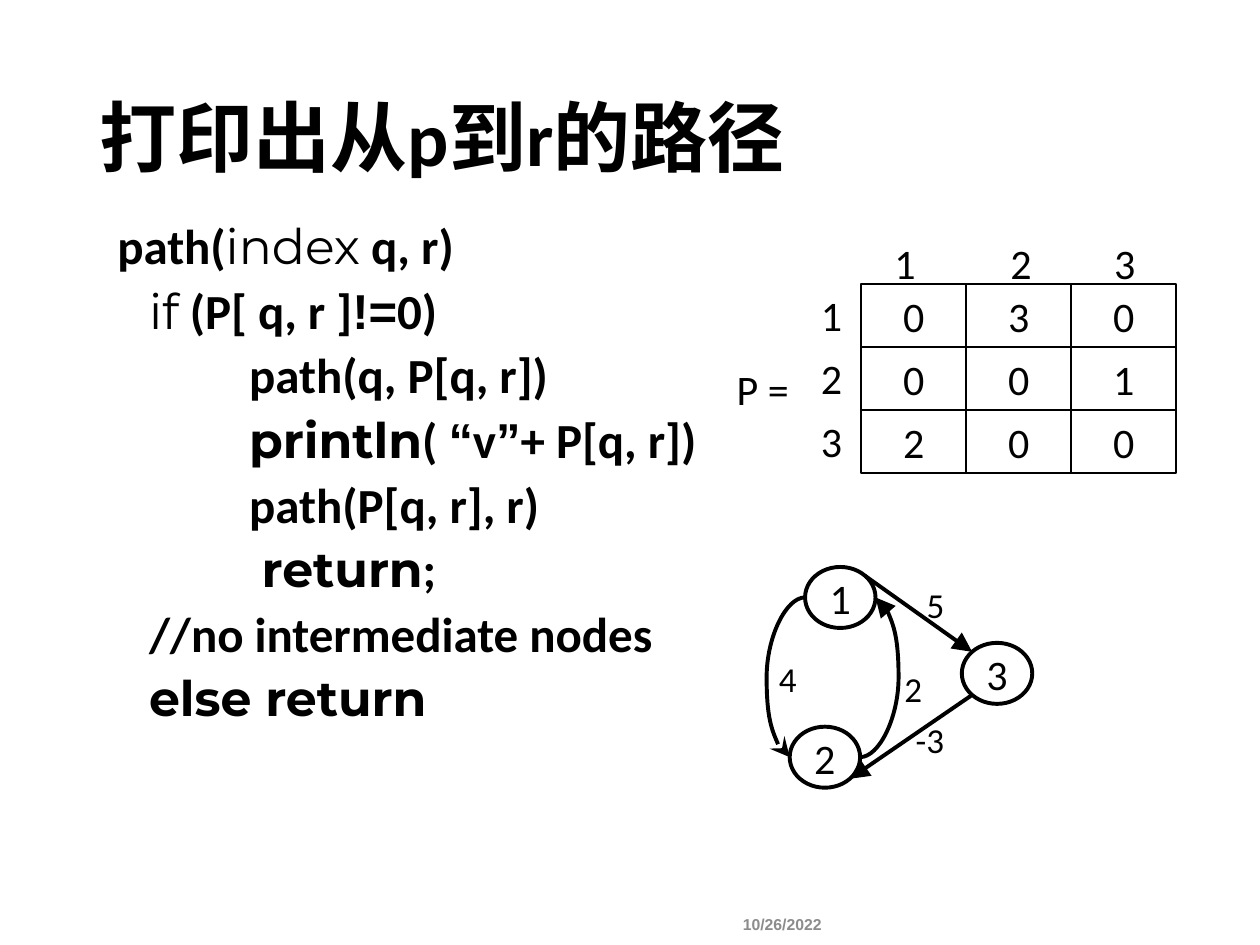
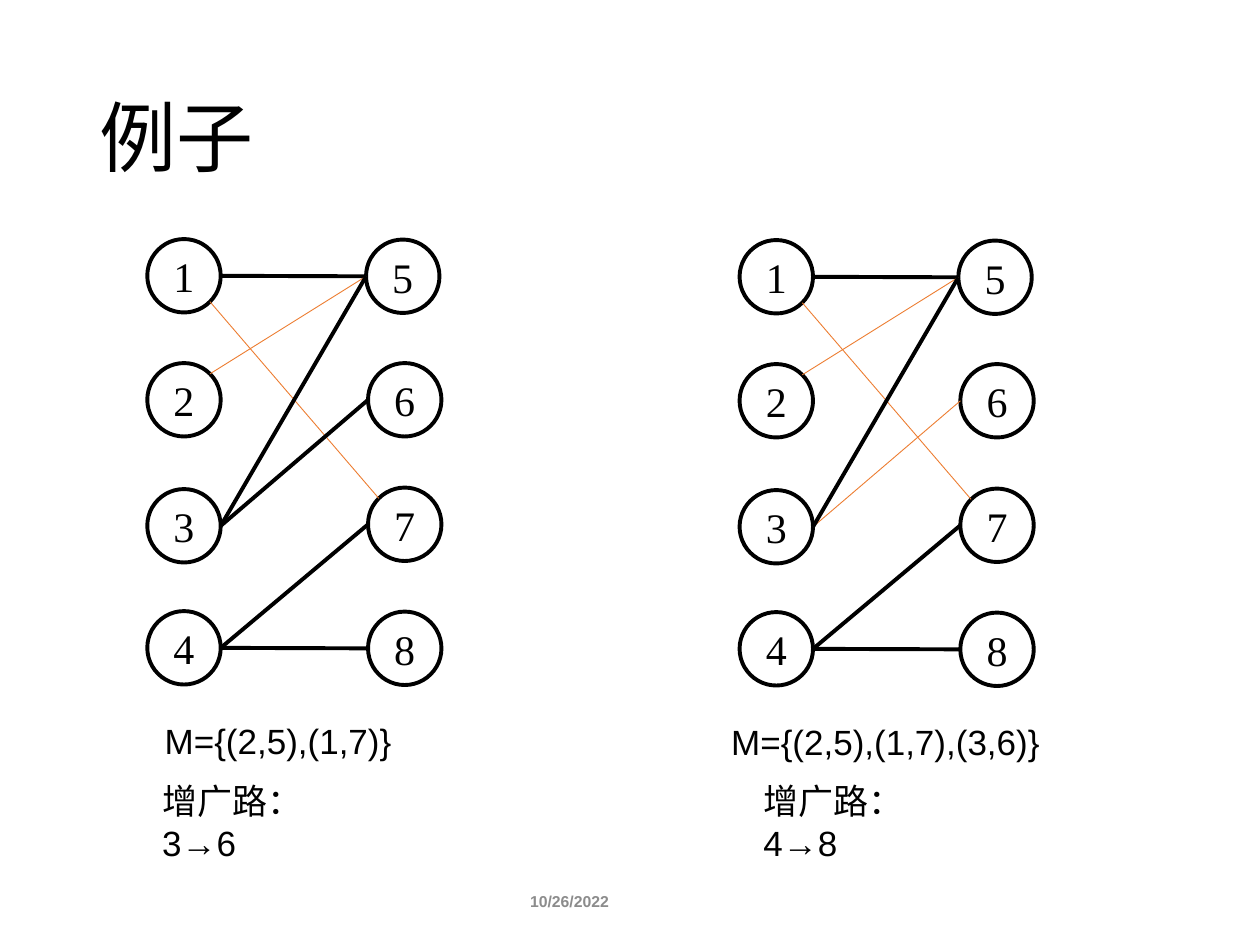
"""Builds two graph algorithm slides: a path printing routine and a bipartite matching example."""
from dataclasses import dataclass
from math import cos, radians, sin

from lxml.etree import SubElement
from pptx import Presentation
from pptx.dml.color import RGBColor
from pptx.enum.shapes import MSO_CONNECTOR, MSO_SHAPE
from pptx.enum.text import MSO_ANCHOR, MSO_AUTO_SIZE, PP_ALIGN
from pptx.oxml.ns import qn
from pptx.util import Cm, Pt

BLACK, ORANGE, GREY = "000000", "ED7D31", "8C8C8C"
SANS, BODY, CODE, SERIF = "Arial", "Calibri", "Montserrat", "Times New Roman"
DATE = "10/26/2022"


@dataclass(frozen=True)
class Frame:
    left: float
    top: float
    width: float
    height: float

    def lengths(self) -> tuple:
        return Cm(self.left), Cm(self.top), Cm(self.width), Cm(self.height)

    def rim(self, angle: float) -> tuple[float, float]:
        return (self.left + self.width / 2 * (1 + cos(radians(angle))),
                self.top + self.height / 2 * (1 + sin(radians(angle))))


@dataclass(frozen=True)
class Style:
    font: str
    size: float
    color: str = BLACK
    bold: bool = False


@dataclass(frozen=True)
class Stroke:
    color: str = BLACK
    width: float = 2.25
    head: str = ""
    tail: str = ""


@dataclass(frozen=True)
class Edge:
    start: int
    end: int
    start_angle: float = 0
    end_angle: float = 180


@dataclass(frozen=True)
class CodeLine:
    indent: float
    spans: tuple[tuple[str, str], ...]


@dataclass(frozen=True)
class Matching:
    shift: float
    drop: float
    pairs: tuple[tuple[int, int], ...]
    augmenting_text: str
    set_frame: Frame
    augmenting_frame: Frame


LABEL = Style(BODY, 24)
WEIGHT = Style(BODY, 20)
CAPTION = Style(SANS, 20)
TITLE_FRAME = Frame(1.75, 1.02, 21.89, 3.68)
CODE_FRAME = Frame(2.11, 4.45, 14.18, 10.36)
CODE_LINES = (
    CodeLine(0, (("path(", BODY), ("index", CODE), (" q, r)", BODY))),
    CodeLine(0.64, (("if", CODE), (" (P[ q, r ]", BODY), ("!=", SANS), ("0)", BODY))),
    CodeLine(2.66, (("path(q, P[q, r])", BODY),)),
    CodeLine(2.66, (("println", CODE), ("( ", BODY), ("“", SANS), ("v", BODY),
                    ("”", SANS), ("+ P[q, r])", BODY))),
    CodeLine(2.66, (("path(P[q, r], r)", BODY),)),
    CodeLine(2.91, (("return", CODE), (";", BODY))),
    CodeLine(0.64, (("//no intermediate nodes", BODY),)),
    CodeLine(0.64, (("else return", CODE),)),
)
PREDECESSORS = ((0, 3, 0), (0, 0, 1), (2, 0, 0))
MATRIX = Frame(17.36, 5.72, 6.35, 3.81)
COLUMN_LABEL_LEFTS = (17.78, 20.12, 22.21)
WEIGHTED_NODES = {
    1: Frame(16.23, 11.43, 1.42, 1.23),
    2: Frame(15.92, 14.65, 1.42, 1.23),
    3: Frame(19.39, 12.96, 1.42, 1.23),
}
WEIGHTED_EDGES = (Edge(1, 3, -45, 225), Edge(3, 2, 135, 45))
WEIGHTS = (("5", 18.43, 11.63), ("-3", 18.21, 14.35), ("2", 17.98, 13.34), ("4", 15.45, 13.13))
BIPARTITE_SPOTS = (
    (2.97, 4.82), (2.97, 7.32), (2.97, 9.86), (2.97, 12.32),
    (7.38, 4.83), (7.42, 7.32), (7.42, 9.83), (7.42, 12.33),
)
BIPARTITE_EDGES = (
    Edge(1, 5), Edge(1, 7, 45, 225), Edge(2, 5, -45), Edge(3, 6),
    Edge(3, 5), Edge(4, 7), Edge(4, 8),
)
MATCHINGS = (
    Matching(0, 0, ((2, 5), (1, 7)), "增广路：3→6",
             Frame(3.07, 14.38, 5.4, 1.12), Frame(3.02, 15.58, 3.6, 1.12)),
    Matching(11.94, 0.02, ((2, 5), (1, 7), (3, 6)), "增广路：4→8",
             Frame(14.49, 14.4, 7, 1.12), Frame(15.14, 15.58, 3.6, 1.12)),
)


def rgb(color: str) -> RGBColor:
    return RGBColor.from_string(color)


def format_span(span, style: Style) -> None:
    span.font.name = style.font
    span.font.size = Pt(style.size)
    span.font.bold = style.bold
    span.font.color.rgb = rgb(style.color)


def write(text_frame, text: str, style: Style, align=PP_ALIGN.LEFT) -> None:
    text_frame.text = text
    paragraph = text_frame.paragraphs[0]
    paragraph.alignment = align
    format_span(paragraph.runs[0], style)


def place(box, frame: Frame) -> None:
    box.left, box.top, box.width, box.height = frame.lengths()


def add_title(page, text: str, bold: bool) -> None:
    title = page.shapes.title
    place(title, TITLE_FRAME)
    write(title.text_frame, text, Style(BODY, 44, bold=bold))
    title.text_frame.vertical_anchor = MSO_ANCHOR.MIDDLE
    title.text_frame.paragraphs[0].line_spacing = 0.9


def add_text(page, frame: Frame, text: str, style: Style, align=PP_ALIGN.LEFT) -> None:
    box = page.shapes.add_textbox(*frame.lengths())
    box.text_frame.word_wrap = True
    write(box.text_frame, text, style, align)


def add_date(page, center: float, top: float) -> None:
    add_text(page, Frame(center - 1.5, top, 3, 0.62), DATE,
             Style(SANS, 9, GREY, True), PP_ALIGN.CENTER)


def add_outlined(page, preset, frame: Frame, label: str, style: Style, width: float) -> None:
    outlined = page.shapes.add_shape(preset, *frame.lengths())
    outlined.shadow.inherit = False
    outlined.fill.background()
    outlined.line.color.rgb = rgb(BLACK)
    outlined.line.width = Pt(width)
    text_frame = outlined.text_frame
    text_frame.margin_left = text_frame.margin_right = 0
    text_frame.margin_top = text_frame.margin_bottom = 0
    text_frame.vertical_anchor = MSO_ANCHOR.MIDDLE
    text_frame.word_wrap = False
    write(text_frame, label, style, PP_ALIGN.CENTER)


def add_node(page, frame: Frame, number: int, style: Style) -> None:
    add_outlined(page, MSO_SHAPE.OVAL, frame, str(number), style, 2.25)


def add_line(page, start: tuple, end: tuple, stroke: Stroke, kind=MSO_CONNECTOR.STRAIGHT):
    connector = page.shapes.add_connector(kind, *map(Cm, start + end))
    connector.line.color.rgb = rgb(stroke.color)
    connector.line.width = Pt(stroke.width)
    properties = connector._element.spPr
    outline = properties.find(qn("a:ln"))
    for tag, arrow in (("a:headEnd", stroke.head), ("a:tailEnd", stroke.tail)):
        if arrow:
            SubElement(outline, qn(tag), type=arrow, w="lg", len="lg")
    SubElement(properties, qn("a:effectLst"))
    return connector


def add_curve(page, start: tuple, end: tuple, stroke: Stroke, bend: int) -> None:
    curve = add_line(page, start, end, stroke, MSO_CONNECTOR.CURVE)
    geometry = curve._element.spPr.find(qn("a:prstGeom"))
    guides = geometry.get_or_add_avLst()
    SubElement(guides, qn("a:gd"), name="adj1", fmla=f"val {bend}")


def add_edge(page, nodes: dict[int, Frame], edge: Edge, stroke: Stroke) -> None:
    add_line(page, nodes[edge.start].rim(edge.start_angle),
             nodes[edge.end].rim(edge.end_angle), stroke)


def add_code(page) -> None:
    body = page.placeholders[1]
    place(body, CODE_FRAME)
    body.text_frame.auto_size = MSO_AUTO_SIZE.NONE
    for index, line in enumerate(CODE_LINES):
        paragraph = body.text_frame.paragraphs[0] if index == 0 else body.text_frame.add_paragraph()
        paragraph.line_spacing = 0.8
        paragraph.space_before = Pt(10)
        properties = paragraph._p.get_or_add_pPr()
        properties.set("marL", str(Cm(line.indent)))
        properties.set("indent", "0")
        SubElement(properties, qn("a:buNone"))
        for text, font in line.spans:
            span = paragraph.add_run()
            span.text = text
            format_span(span, Style(font, 28, bold=font != CODE or index > 1))


def add_matrix(page) -> None:
    side_count = len(PREDECESSORS)
    width, height = MATRIX.width / side_count, MATRIX.height / side_count
    for row, values in enumerate(PREDECESSORS):
        top = MATRIX.top + row * height
        for column, value in enumerate(values):
            cell = Frame(MATRIX.left + column * width, top, width, height)
            add_outlined(page, MSO_SHAPE.RECTANGLE, cell, str(value), LABEL, 1)
        label = str(row + 1)
        add_text(page, Frame(COLUMN_LABEL_LEFTS[row], 4.66, 1.1, 1.27), label, LABEL)
        add_text(page, Frame(16.3, top, 1.1, 1.27), label, LABEL)
    add_text(page, Frame(14.6, 7.2, 1.9, 1.27), "P =", LABEL)


def add_weighted_graph(page) -> None:
    nodes = WEIGHTED_NODES
    for number, frame in nodes.items():
        add_node(page, frame, number, LABEL)
    for edge in WEIGHTED_EDGES:
        add_edge(page, nodes, edge, Stroke(tail="triangle"))
    add_curve(page, nodes[2].rim(180), nodes[1].rim(180), Stroke(head="stealth"), -150000)
    add_curve(page, nodes[2].rim(0), nodes[1].rim(0), Stroke(tail="triangle"), 250000)
    for text, left, top in WEIGHTS:
        add_text(page, Frame(left, top, 1.2, 1.09), text, WEIGHT)


def add_matching(page, matching: Matching) -> None:
    nodes = {
        number: Frame(left + matching.shift, top + matching.drop, 1.48, 1.48)
        for number, (left, top) in enumerate(BIPARTITE_SPOTS, 1)
    }
    for number, frame in nodes.items():
        add_node(page, frame, number, Style(SERIF, 24))
    for edge in BIPARTITE_EDGES:
        matched = (edge.start, edge.end) in matching.pairs
        add_edge(page, nodes, edge, Stroke(ORANGE, 0.5) if matched else Stroke())
    pairs = ",".join(f"({start},{end})" for start, end in matching.pairs)
    add_text(page, matching.set_frame, f"M={{{pairs}}}", CAPTION)
    add_text(page, matching.augmenting_frame, matching.augmenting_text, CAPTION)


def build_path_slide(deck) -> None:
    page = deck.slides.add_slide(deck.slide_layouts[1])
    add_title(page, "打印出从p到r的路径", True)
    add_code(page)
    add_date(page, 15.77, 18.31)
    add_matrix(page)
    add_weighted_graph(page)


def build_matching_slide(deck) -> None:
    page = deck.slides.add_slide(deck.slide_layouts[5])
    add_title(page, "例子", False)
    add_date(page, 11.48, 17.86)
    for matching in MATCHINGS:
        add_matching(page, matching)


def main() -> None:
    deck = Presentation()
    deck.slide_width, deck.slide_height = Cm(25.4), Cm(19.05)
    build_path_slide(deck)
    build_matching_slide(deck)
    deck.save("out.pptx")


if __name__ == "__main__":
    main()
